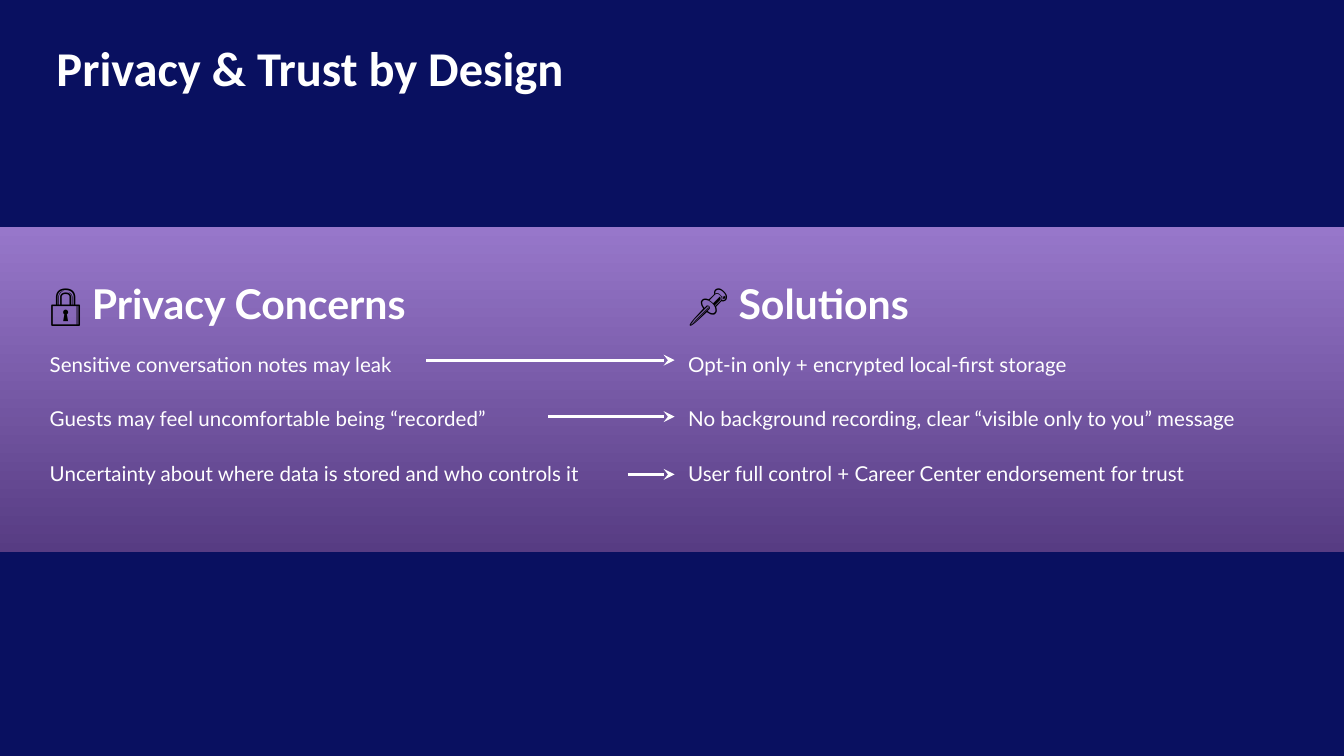
from lxml import etree
from pptx import Presentation
from pptx.dml.color import RGBColor
from pptx.enum.shapes import MSO_CONNECTOR, MSO_SHAPE
from pptx.enum.text import MSO_ANCHOR, MSO_AUTO_SIZE, PP_ALIGN
from pptx.oxml.ns import qn
from pptx.util import Inches, Pt

STRAIGHT = MSO_CONNECTOR.STRAIGHT
RECTANGLE = MSO_SHAPE.RECTANGLE
TOP = MSO_ANCHOR.TOP
NO_AUTOFIT = MSO_AUTO_SIZE.NONE
LEFT = PP_ALIGN.LEFT

NAVY = RGBColor(0x09, 0x10, 0x60)
LILAC = RGBColor(0x97, 0x77, 0xCA)
PURPLE = RGBColor(0x57, 0x3C, 0x83)
WHITE = RGBColor(0xFF, 0xFF, 0xFF)
BLACK = RGBColor(0, 0, 0)

TITLE = "Privacy & Trust by Design"
# icon, heading, items, left, heading width, list width
COLUMNS = [
    ("🔒 ", "Privacy Concerns", [
        "Sensitive conversation notes may leak",
        "Guests may feel uncomfortable being “recorded”",
        "Uncertainty about where data is stored and who controls it",
    ], 0.27, 3.47, 4.4),
    ("📌 ", "Solutions", [
        "Opt-in only + encrypted local-first storage",
        "No background recording, clear “visible only to you” message",
        "User full control + Career Center endorsement for trust",
    ], 5.02, 2.38, 4.6),
]
# start, height on the slide
ARROWS = [(3.17, 2.68), (4.08, 3.1), (4.67, 3.53)]
ARROW_END = 5.02
HEADING_TOP, HEADING_HEIGHT = 1.92, 0.57
LIST_TOP, LIST_HEIGHT = 2.49, 1.24


def place(sp, left, top, width, height):
    """Move a placeholder and give it even insets and top anchoring."""
    sp.left, sp.top = Inches(left), Inches(top)
    sp.width, sp.height = Inches(width), Inches(height)
    tf = sp.text_frame
    tf.margin_left = tf.margin_right = Inches(0.1)
    tf.margin_top = tf.margin_bottom = Inches(0.1)
    tf.word_wrap = True
    tf.auto_size = NO_AUTOFIT
    tf.vertical_anchor = TOP
    return tf


def format_paragraph(p, spacing=1.15, after=0):
    pPr = p._p.get_or_add_pPr()
    pPr.set("marL", "0")
    pPr.set("indent", "0")
    etree.SubElement(pPr, qn("a:buNone"))
    p.alignment = LEFT
    p.line_spacing = spacing
    p.space_before = Pt(0)
    p.space_after = Pt(after)


def format_run(r, name, size, color, bold=False):
    r.font.name = name
    r.font.size = Pt(size)
    r.font.color.rgb = color
    r.font.bold = bold


def add_band(slide):
    band = slide.shapes.add_shape(RECTANGLE, 0, Inches(1.69), Inches(10), Inches(2.42))
    band.shadow.inherit = False
    band.line.fill.background()
    band.fill.gradient()
    band.fill.gradient_angle = 270
    for stop, color in zip(band.fill.gradient_stops, (LILAC, PURPLE)):
        stop.color.rgb = color
    slide.shapes._spTree.insert(2, band._element)  # behind the text


def fill_heading(tf, icon, heading):
    p = tf.paragraphs[0]
    format_paragraph(p)
    for text, color in ((icon, BLACK), (heading, WHITE)):
        r = p.add_run()
        r.text = text
        format_run(r, "Lato", 22, color, bold=True)


def fill_list(tf, items):
    tf.text = "\n".join(items)
    for p in tf.paragraphs:
        format_paragraph(p, after=14)
        format_run(p.runs[0], "Lato", 11, WHITE)


def add_arrow(slide, start, y):
    arrow = slide.shapes.add_connector(
        STRAIGHT, Inches(start), Inches(y), Inches(ARROW_END), Inches(y))
    arrow.line.color.rgb = WHITE
    arrow.line.width = Pt(1.5)
    etree.SubElement(arrow.line._get_or_add_ln(), qn("a:tailEnd"), type="stealth")
    etree.SubElement(arrow._element.spPr, qn("a:effectLst"))


def main():
    prs = Presentation()
    prs.slide_width = Inches(10)
    prs.slide_height = prs.slide_width * 9 // 16
    slide = prs.slides.add_slide(prs.slide_layouts.get_by_name("Comparison"))
    slide.background.fill.solid()
    slide.background.fill.fore_color.rgb = NAVY
    add_band(slide)

    # The layout lists the title, then heading and list of each column.
    title, *bodies = list(slide.placeholders)[:5]
    tf = place(title, 0.32, 0.18, 6.49, 0.63)
    tf.text = TITLE
    format_paragraph(tf.paragraphs[0], spacing=1)
    format_run(tf.paragraphs[0].runs[0], "Calibri", 26, WHITE, bold=True)

    for column, heading_sp, list_sp in zip(COLUMNS, bodies[::2], bodies[1::2]):
        icon, heading, items, left, heading_width, list_width = column
        fill_heading(place(heading_sp, left, HEADING_TOP, heading_width, HEADING_HEIGHT),
                     icon, heading)
        fill_list(place(list_sp, left, LIST_TOP, list_width, LIST_HEIGHT), items)

    for start, y in ARROWS:
        add_arrow(slide, start, y)

    prs.save("out.pptx")


if __name__ == "__main__":
    main()
